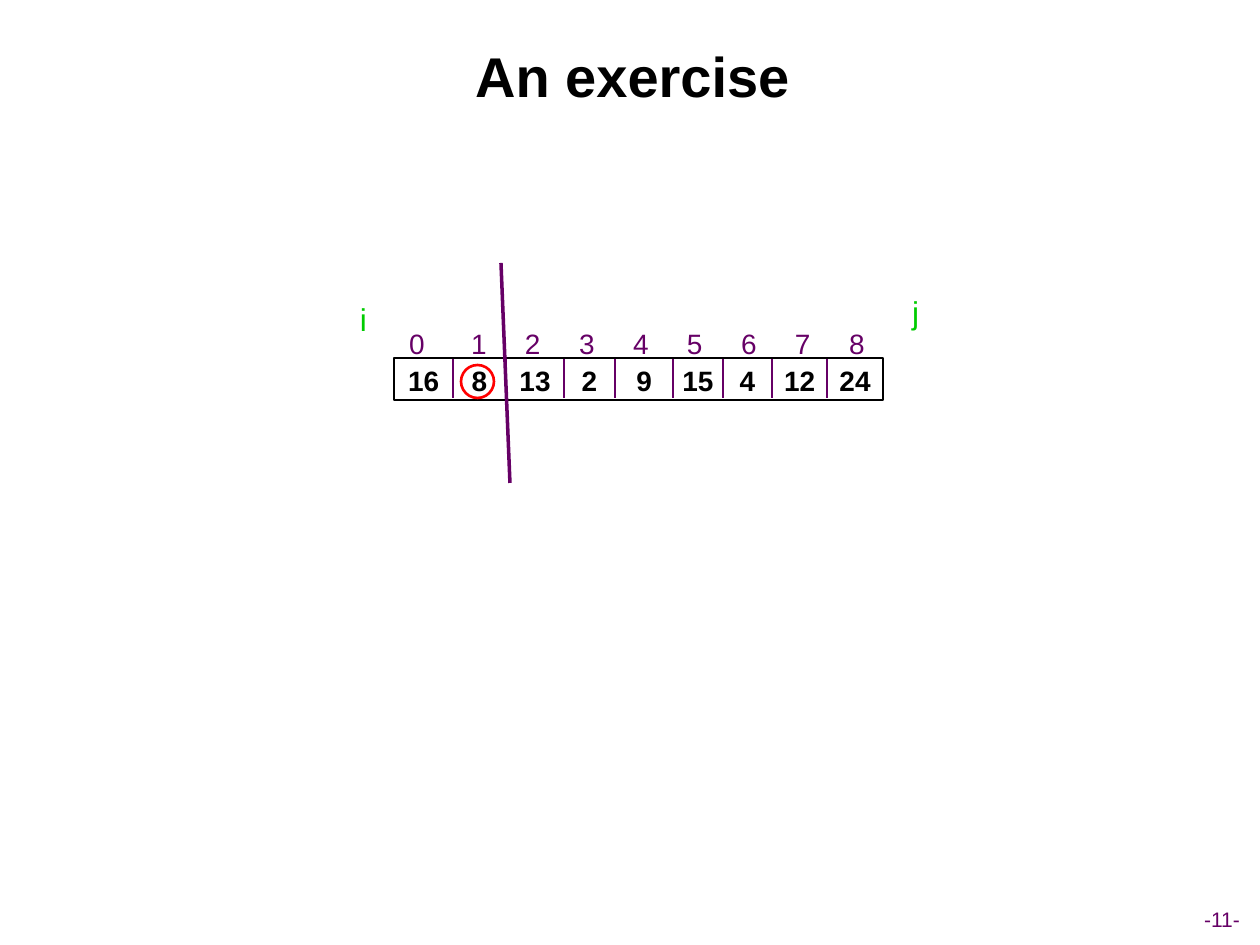
"""Build the partition exercise slide with its indexed array."""
from itertools import pairwise
from lxml import etree
from pptx import Presentation
from pptx.dml.color import RGBColor as Rgb
from pptx.enum import shapes as kinds, text as txt
from pptx.oxml import ns
from pptx.util import Pt

theme = dict(
    font="Arial", ink="000000", plum="660066", green="00CC00", red="FF0000",
    head=32, mark=18, cell=16, page=12,
)


def px(*sizes):
    """Turn pixel lengths into EMU."""
    return [round(size * 914400 / 126) for size in sizes]


def put(words, area, size="cell", color="ink", bold=False, box=None,
        align="CENTER", anchor="TOP", wrap=False, inset=(13, 6)):
    """Write styled text into a placeholder or a new text box."""
    if box is None:
        box = slide.shapes.add_textbox(*px(*area))
    else:
        box.left, box.top, box.width, box.height = px(*area)
    frame = box.text_frame
    frame.word_wrap = wrap
    frame.vertical_anchor = txt.MSO_ANCHOR[anchor]
    side, edge = px(*inset)
    frame.margin_left = frame.margin_right = side
    frame.margin_top = frame.margin_bottom = edge
    para = frame.paragraphs[0]
    para.alignment = txt.PP_ALIGN[align]
    run = para.add_run()
    run.text = words
    run.font.name = theme["font"]
    run.font.size = Pt(theme[size])
    run.font.bold = bold
    run.font.color.rgb = Rgb.from_string(theme[color])
    return para


deck = Presentation()
deck.slide_width, deck.slide_height = px(1260, 945)
slide = deck.slides.add_slide(deck.slide_layouts[5])

put("-11-", (1184, 900, 76, 38), "page", "plum", anchor="MIDDLE", inset=(0, 0))
put("An exercise", (48, 15, 1169, 120), "head", bold=True,
    box=slide.shapes.title, anchor="MIDDLE", wrap=True)

edges = [394, 453, 506, 564, 615, 673, 723, 772, 827, 883]
values = [16, 8, 13, 2, 9, 15, 4, 12, 24]
row = (394, 358, 489, 42)
ring = (461, 365, 33, 33)
for kind, area, color in (("RECTANGLE", row, "ink"), ("OVAL", ring, "red")):
    shape = slide.shapes.add_shape(kinds.MSO_SHAPE[kind], *px(*area))
    shape.shadow.inherit = False
    shape.fill.background()
    shape.line.color.rgb = Rgb.from_string(theme[color])
    shape.line.width = Pt(1.5)

rules = [(x, 359, x, 398, 0.75) for x in edges[1:-1]]
rules.append((501, 263, 510, 483, 2))
for *ends, width in rules:
    line = slide.shapes.add_connector(kinds.MSO_CONNECTOR.STRAIGHT, *px(*ends))
    line.line.color.rgb = Rgb.from_string(theme["plum"])
    line.line.width = Pt(width)
    etree.SubElement(line._element.spPr, ns.qn("a:effectLst"))

count = len(values)
para = put("\t".join(map(str, range(count))), (396, 321, 484, 47),
           color="plum", align="LEFT", wrap=True)
stops = etree.Element(ns.qn("a:tabLst"))
for i in range(count - 1):
    stop = etree.SubElement(stops, ns.qn("a:tab"))
    stop.set("pos", str(px(62 + 54 * i)[0]))
    stop.set("algn", "l")
para._p.get_or_add_pPr().append(stops)

for value, (left, right) in zip(values, pairwise(edges)):
    put(str(value), (left, 358, right - left, 47), bold=True, inset=(0, 6))

for name, x, y in (("i", 347, 294), ("j", 899, 287)):
    put(name, (x, y, 32, 50), "mark", "green")

deck.save("out.pptx")
